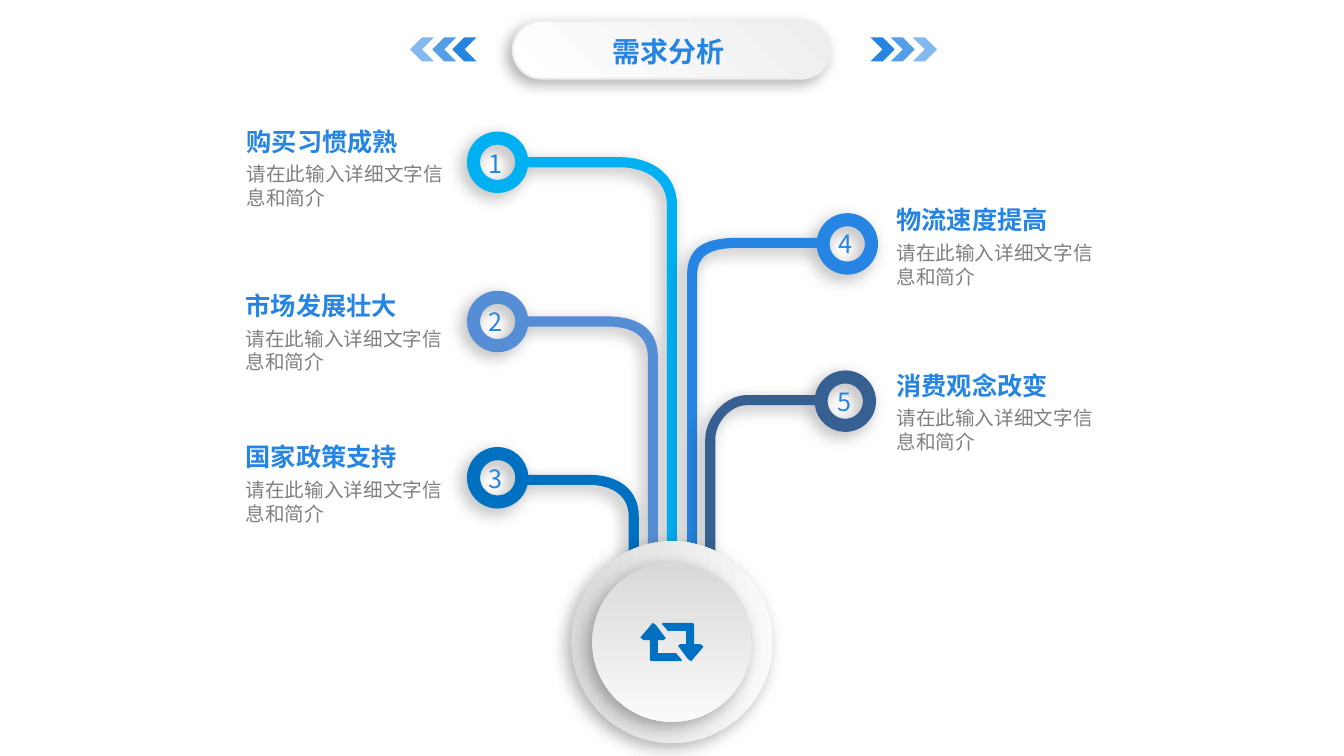
import math

import pptx
import pptx.dml.color
import pptx.enum.shapes
import pptx.enum.text
import pptx.oxml
import pptx.oxml.ns
import pptx.util
from pptx.util import Inches

BLUE, DEEP_BLUE, GRAY = "2684E2", "0070C0", "808080"
CJK_FONT, TITLE_FONT = "Noto Sans CJK SC", "Roboto Condensed"
TITLE = "需求分析"
DETAIL = "请在此输入详细文字信息和简介"

# number, heading, colour, heading left/top, number left/top, ring centre,
# branch height, stem x, start and end of the bend (x, y), squareness of the bend
BRANCHES = [
    ("1", "购买习惯成熟", "00B0F0", (2.35, 1.2), (4.75, 1.42), (4.94, 1.61), 1.61, 6.67, (6.15, 2.03), 0.6),
    ("2", "市场发展壮大", "558ED5", (2.34, 2.83), (4.75, 2.99), (4.94, 3.19), 3.19, 6.48, (6.03, 3.54), 0.65),
    ("3", "国家政策支持", DEEP_BLUE, (2.34, 4.33), (4.75, 4.55), (4.94, 4.74), 4.76, 6.29, (5.84, 5.12), 0.62),
    ("4", "物流速度提高", BLUE, (8.8, 1.98), (8.22, 2.22), (8.41, 2.42), 2.41, 6.87, (7.32, 2.73), 0.7),
    ("5", "消费观念改变", "376092", (8.8, 3.62), (8.21, 3.78), (8.39, 3.98), 3.97, 7.05, (7.41, 4.36), 0.5),
]
STEM_BOTTOM = 6.03
RING_DIAMETER, HOLE_DIAMETER, HALF_WIDTH = 0.61, 0.35, 0.05

CHEVRON_SIZE = 0.24
CHEVRONS = [(0, (8.64, 8.84, 9.06)), (180, (4.49, 4.29, 4.07))]
CHEVRON_OPACITY = (100, 79, 57)

HUB = [(5.67, 5.37, 2, 0), (5.88, 5.58, 1.58, 90)]  # left, top, size, angle
ICON_CENTRE = (6.67, 6.37)
ICON_ARROW = [
    (6.76, 6.56), (6.46, 6.56), (6.45, 6.54), (6.45, 6.35), (6.39, 6.35),
    (6.36, 6.33), (6.36, 6.32), (6.47, 6.19), (6.48, 6.18), (6.51, 6.2),
    (6.6, 6.32), (6.61, 6.33), (6.59, 6.35), (6.53, 6.35), (6.53, 6.48),
    (6.71, 6.48), (6.77, 6.55),
]


def rgb(value):
    return pptx.dml.color.RGBColor.from_string(value)


def add_xml(parent, text):
    namespace = pptx.oxml.ns.nsdecls("a")
    parent.append(pptx.oxml.parse_xml(text.replace(" ", f" {namespace} ", 1)))


def paint(shape, color=None, gradient=None, angle=0, blur=0):
    """Fill a shape, drop its outline and give it a soft shadow if blur is set."""
    if gradient:
        shape.fill.gradient()
        shape.fill.gradient_angle = (360 - angle) % 360
        for stop, stop_color in zip(shape.fill.gradient_stops, gradient):
            stop.color.rgb = rgb(stop_color)
    else:
        shape.fill.solid()
        shape.fill.fore_color.rgb = rgb(color)
    shape.line.fill.background()
    shape.shadow.inherit = False
    if blur:
        effects = shape._element.spPr.find(pptx.oxml.ns.qn("a:effectLst"))
        add_xml(effects, f'<a:outerShdw blurRad="{pptx.util.Pt(blur)}" '
                f'dist="{pptx.util.Pt(5)}" dir="8100000" algn="tr" rotWithShape="0">'
                '<a:srgbClr val="000000"><a:alpha val="30000"/></a:srgbClr></a:outerShdw>')


def write_text(shape, text, size, color, bold=False, font=CJK_FONT, wrap=True,
               align=pptx.enum.text.PP_ALIGN.LEFT, anchor=pptx.enum.text.MSO_ANCHOR.TOP):
    frame = shape.text_frame
    frame.word_wrap = wrap
    frame.vertical_anchor = anchor
    paragraph = frame.paragraphs[0]
    paragraph.alignment = align
    paragraph.line_spacing = pptx.util.Pt(size * 1.2)
    run = paragraph.add_run()
    run.text = text
    run.font.size = pptx.util.Pt(size)
    run.font.bold = bold
    run.font.name = font
    run.font.color.rgb = rgb(color)
    add_xml(run._r.get_or_add_rPr(), f'<a:ea typeface="{CJK_FONT}"/>')


def add_text(shapes, left, top, width, height, text, **text_format):
    box = shapes.add_textbox(Inches(left), Inches(top), Inches(width), Inches(height))
    write_text(box, text, **text_format)


def add_outline(shapes, contours, curved=False):
    """Build a freeform; if curved, each three points after the first are one Bézier curve."""
    contours = [[(Inches(x), Inches(y)) for x, y in contour] for contour in contours]
    builder = shapes.build_freeform(*contours[0][0])
    for index, contour in enumerate(contours):
        if index:
            builder.move_to(*contour[0])
        builder.add_line_segments(contour[1:], close=True)
    shape = builder.convert_to_shape()
    if curved:
        segments = list(shape._element.iter(pptx.oxml.ns.qn("a:lnTo")))
        for first, second, third in zip(segments[::3], segments[1::3], segments[2::3]):
            add_xml(first.getparent(), "<a:cubicBezTo />")
            curve = first.getparent()[-1]
            first.addprevious(curve)
            for segment in (first, second, third):
                curve.append(segment[0])
                segment.getparent().remove(segment)
    return shape


def circle(centre, radius, start=0, end=2 * math.pi, side=1):
    """Bézier points of an arc, split at the quadrants and mirrored if side is -1."""
    def place(angle, slide_along=0):
        x = math.cos(angle) - slide_along * math.sin(angle)
        y = math.sin(angle) + slide_along * math.cos(angle)
        return centre[0] + side * radius * x, centre[1] + radius * y

    angles = [start, math.pi / 2, math.pi, 3 * math.pi / 2, end]
    points = [place(start)]
    for begin, finish in zip(angles, angles[1:]):
        handle = 4 / 3 * math.tan((finish - begin) / 4)
        points += [place(begin, handle), place(finish, -handle), place(finish)]
    return points


def branch_contours(ring, height, stem, bend, squareness):
    """Ring, bent branch and stem as one contour, and the hole as a second."""
    side = 1 if stem > ring[0] else -1
    radius = RING_DIAMETER / 2
    lower, upper = (math.asin((height + offset - ring[1]) / radius)
                    for offset in (HALF_WIDTH, -HALF_WIDTH))

    def edge(offset):
        x, y = stem + side * offset, height - offset
        return [(bend[0], y), (bend[0] + (x - bend[0]) * squareness, y),
                (x, bend[1] + (y - bend[1]) * squareness), (x, bend[1])]

    def line_to(point):
        return [point] * 3

    outer, inner = edge(HALF_WIDTH), edge(-HALF_WIDTH)[::-1]
    contour = circle(ring, radius, lower, 2 * math.pi + upper, side)
    contour += line_to(outer[0]) + outer[1:]
    contour += line_to((outer[-1][0], STEM_BOTTOM)) + line_to((inner[0][0], STEM_BOTTOM))
    contour += line_to(inner[0]) + inner[1:]
    return [contour, circle(ring, HOLE_DIAMETER / 2)]


def add_header(slide):
    preset = pptx.enum.shapes.MSO_SHAPE
    pill = slide.shapes.add_shape(preset.ROUNDED_RECTANGLE, Inches(5.09), Inches(0.21),
                                  Inches(3.15), Inches(0.57))
    pill.adjustments[0] = 0.5
    paint(pill, gradient=("EEEEEE", "FFFFFF"), angle=135, blur=10)
    pill.line.color.rgb = rgb("EEEEEE")
    pill.line.width = pptx.util.Pt(1.5)

    for rotation, lefts in CHEVRONS:
        group = slide.shapes.add_group_shape()
        for left, opacity in zip(lefts, CHEVRON_OPACITY):
            chevron = group.shapes.add_shape(preset.CHEVRON, Inches(left), Inches(0.37),
                                             Inches(CHEVRON_SIZE), Inches(CHEVRON_SIZE))
            chevron.rotation = rotation
            paint(chevron, BLUE)
            if opacity < 100:
                color = chevron._element.spPr.find(".//" + pptx.oxml.ns.qn("a:srgbClr"))
                add_xml(color, f'<a:alpha val="{opacity * 1000}"/>')

    title = slide.shapes.title
    title._element.getparent().append(title._element)  # bring in front of the pill
    title.left, title.top = Inches(5.49), Inches(0.3)
    title.width, title.height = Inches(2.3), Inches(0.41)
    frame = title.text_frame
    frame.margin_left = frame.margin_right = Inches(0.07)
    frame.margin_top = frame.margin_bottom = Inches(0.04)
    write_text(title, TITLE, size=20, color=BLUE, bold=True, font=TITLE_FONT,
               align=pptx.enum.text.PP_ALIGN.CENTER)


def add_branches(shapes):
    for _, _, color, _, _, *geometry in BRANCHES:
        paint(add_outline(shapes, branch_contours(*geometry), curved=True), color, blur=12)
    for number, heading, _, (left, top), number_at, *_ in BRANCHES:
        add_text(shapes, left, top, 1.72, 0.4, heading, size=18, color=BLUE, bold=True, wrap=False)
        add_text(shapes, left, top + 0.36, 2.22, 0.57, DETAIL, size=14, color=GRAY,
                 anchor=pptx.enum.text.MSO_ANCHOR.MIDDLE)
        add_text(shapes, *number_at, 0.38, 0.4, number, size=18, color=BLUE)


def add_hub(shapes):
    for left, top, size, angle in HUB:
        disc = shapes.add_shape(pptx.enum.shapes.MSO_SHAPE.OVAL, Inches(left), Inches(top),
                                Inches(size), Inches(size))
        paint(disc, gradient=("D9D9D9", "FAFAFA"), angle=angle, blur=12)
    turned = [(2 * ICON_CENTRE[0] - x, 2 * ICON_CENTRE[1] - y) for x, y in ICON_ARROW]
    paint(add_outline(shapes, [ICON_ARROW, turned]), DEEP_BLUE)


def main():
    presentation = pptx.Presentation()
    presentation.slide_width, presentation.slide_height = Inches(13.34), Inches(7.5)
    slide = presentation.slides.add_slide(presentation.slide_layouts.get_by_name("Title Only"))
    add_header(slide)
    add_branches(slide.shapes)
    add_hub(slide.shapes)
    presentation.save("out.pptx")


if __name__ == "__main__":
    main()
